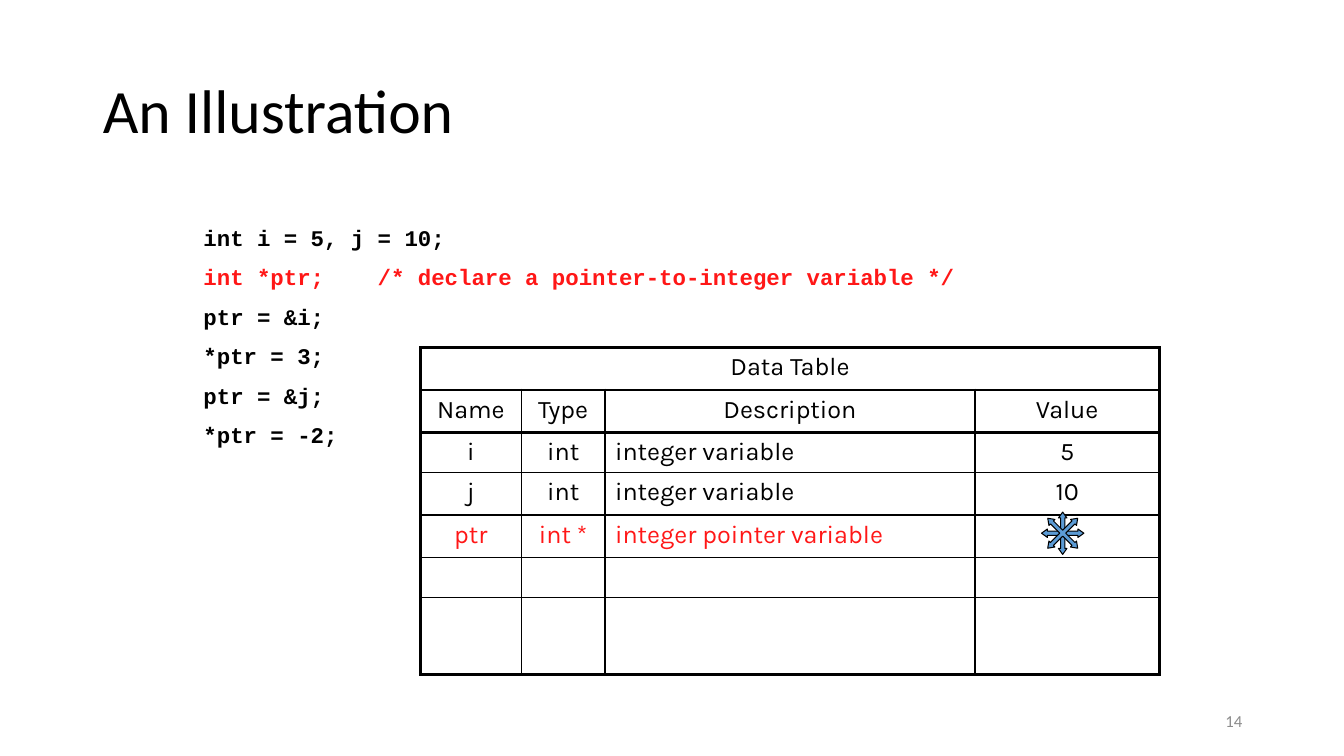
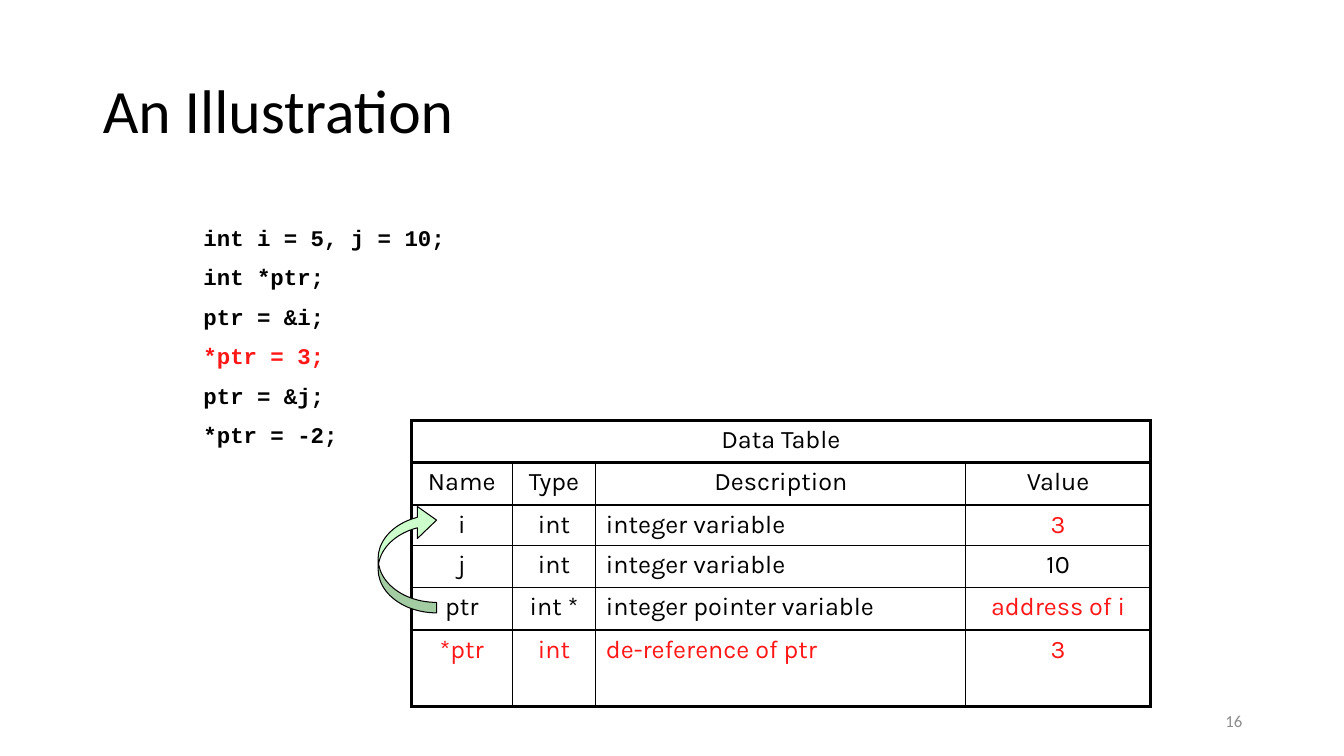
from dataclasses import dataclass
from typing import Any

from lxml.etree import SubElement
from pptx import Presentation
from pptx.dml.color import RGBColor
from pptx.enum.shapes import MSO_SHAPE as Preset
from pptx.enum.text import MSO_ANCHOR as Anchor, MSO_AUTO_SIZE as AutoSize, PP_ALIGN as Align
from pptx.oxml.ns import qn
from pptx.util import Inches, Pt

BLACK, RED, GRAY = "000000", "FF1717", "8C8C8C"
BLUE, GREEN = "5B9BD5", "CCFFCC"
THIN, THICK = 1, 2.25

TITLE_FONT = {"name": "Calibri", "size": Pt(44), "bold": False}
NUMBER_FONT = {"name": "Calibri", "size": Pt(12)}
CODE_FONT = {"name": "Courier New", "size": Pt(16), "bold": True}
TABLE_FONT = {"name": "Karla", "size": Pt(18), "bold": False}

COLUMN_WIDTHS = (1, 0.83, 3.67, 1.83)
DESCRIPTION_COLUMN = 2
ALL_COLUMNS = (0, 1, 2, 3)


@dataclass(frozen=True)
class Row:
    """One table row: its texts, height and the columns shown in red."""
    texts: tuple[str, ...] = ("", "", "", "")
    height: float = 0.42
    red_columns: tuple[int, ...] = ()


@dataclass(frozen=True)
class Step:
    """One slide of the walk-through."""
    number: str
    code: tuple[str, ...]
    red_line: int
    table_left: float
    table_top: float
    rows: tuple[Row, ...]


HEADER_ROWS = (
    Row(("Data Table", "", "", "")),
    Row(("Name", "Type", "Description", "Value")),
)
J_ROW = Row(("j", "int", "integer variable", "10"))
ASSIGNMENTS = ("ptr = &i;", "*ptr = 3;", "ptr = &j;", "*ptr = -2;")

DECLARE_STEP = Step(
    "14",
    ("int i = 5, j = 10;", "int *ptr;    /* declare a pointer-to-integer variable */", *ASSIGNMENTS),
    1, 4.17, 3.45,
    (
        *HEADER_ROWS,
        Row(("i", "int", "integer variable", "5"), 0.4),
        J_ROW,
        Row(("ptr", "int *", "integer pointer variable", ""), red_columns=ALL_COLUMNS),
        Row(height=0.4),
        Row(height=0.76),
    ),
)
DEREFERENCE_STEP = Step(
    "16",
    ("int i = 5, j = 10;", "int *ptr;", *ASSIGNMENTS),
    3, 4.08, 4.17,
    (
        *HEADER_ROWS,
        Row(("i", "int", "integer variable", "3"), 0.4, (3,)),
        J_ROW,
        Row(("ptr", "int *", "integer pointer variable", "address of i"), red_columns=(3,)),
        Row(("*ptr", "int", "de-reference of ptr", "3"), 0.76, ALL_COLUMNS),
    ),
)


def rgb(color: str) -> RGBColor:
    """Turn a hex string into a colour."""
    return RGBColor.from_string(color)


def apply(target: Any, values: dict[str, Any]) -> None:
    """Set every attribute named in the format values."""
    for name, value in values.items():
        setattr(target, name, value)


def write(paragraph: Any, text: str, font: dict[str, Any], color: str = BLACK) -> None:
    """Add one formatted run to a paragraph."""
    run = paragraph.add_run()
    run.text = text
    apply(run.font, font)
    run.font.color.rgb = rgb(color)


def add_text_box(slide: Any, left: float, top: float, width: float, height: float) -> Any:
    """Add a wrapping text box and return its text frame."""
    box = slide.shapes.add_textbox(Inches(left), Inches(top), Inches(width), Inches(height))
    box.text_frame.word_wrap = True
    return box.text_frame


def add_title(slide: Any, text: str) -> None:
    """Place and fill the title placeholder."""
    title = slide.shapes.title
    apply(title, {"left": Inches(0.92), "top": Inches(0.4), "width": Inches(11.5), "height": Inches(1.45)})
    apply(title.text_frame, {"vertical_anchor": Anchor.MIDDLE, "auto_size": AutoSize.NONE})
    paragraph = title.text_frame.paragraphs[0]
    apply(paragraph, {"alignment": Align.LEFT, "line_spacing": 0.9})
    write(paragraph, text, TITLE_FONT)


def add_number(slide: Any, number: str) -> None:
    """Write the slide number at the lower right."""
    frame = add_text_box(slide, 9.42, 6.95, 3, 0.4)
    frame.vertical_anchor = Anchor.MIDDLE
    frame.paragraphs[0].alignment = Align.RIGHT
    write(frame.paragraphs[0], number, NUMBER_FONT, GRAY)


def add_code(slide: Any, lines: tuple[str, ...], red_line: int) -> None:
    """Write the program with its current line in red."""
    frame = add_text_box(slide, 1.92, 2.17, 9.33, 2.39)
    for index, line in enumerate(lines):
        paragraph = frame.add_paragraph() if index else frame.paragraphs[0]
        paragraph.space_before = Pt(9 if index else 0)
        write(paragraph, line, CODE_FONT, RED if index == red_line else BLACK)


def set_borders(cell: Any, widths: dict[str, float]) -> None:
    """Draw black cell borders with the given widths per side."""
    properties = cell._tc.get_or_add_tcPr()
    for side, width in widths.items():
        line = SubElement(properties, qn(f"a:ln{side}"), w=str(Pt(width)))
        fill = SubElement(line, qn("a:solidFill"))
        SubElement(fill, qn("a:srgbClr"), val=BLACK)


def add_data_table(slide: Any, left: float, top: float, rows: tuple[Row, ...]) -> None:
    """Draw the table of variables with a thick frame and header rules."""
    table = slide.shapes.add_table(
        len(rows), len(COLUMN_WIDTHS), Inches(left), Inches(top),
        Inches(sum(COLUMN_WIDTHS)), Inches(sum(row.height for row in rows)),
    ).table
    apply(table, {"first_row": False, "horz_banding": False})
    for column, width in zip(table.columns, COLUMN_WIDTHS):
        column.width = Inches(width)
    header_count, last_row, last_column = len(HEADER_ROWS), len(rows) - 1, len(COLUMN_WIDTHS) - 1
    for row_index, row in enumerate(rows):
        table.rows[row_index].height = Inches(row.height)
        for column_index, text in enumerate(row.texts):
            cell = table.cell(row_index, column_index)
            thick_sides = {
                "L": row_index == 0 or column_index == 0,
                "R": row_index == 0 or column_index == last_column,
                "T": row_index <= header_count,
                "B": row_index < header_count or row_index == last_row,
            }
            set_borders(cell, {side: THICK if thick else THIN for side, thick in thick_sides.items()})
            cell.fill.background()
            if text:
                paragraph = cell.text_frame.paragraphs[0]
                is_description = column_index == DESCRIPTION_COLUMN and row_index >= header_count
                paragraph.alignment = Align.LEFT if is_description else Align.CENTER
                write(paragraph, text, TABLE_FONT, RED if column_index in row.red_columns else BLACK)
    table.cell(0, 0).merge(table.cell(0, last_column))


def add_arrow(shapes: Any, preset: Preset, box: tuple[float, ...], rotation: float,
              adjustments: tuple[float, ...], color: str) -> None:
    """Add an outlined block arrow."""
    arrow = shapes.add_shape(preset, *map(Inches, box))
    arrow.rotation = rotation
    for index, value in enumerate(adjustments):
        arrow.adjustments[index] = value
    arrow.shadow.inherit = False
    arrow.fill.solid()
    arrow.fill.fore_color.rgb = rgb(color)
    arrow.line.color.rgb = rgb(BLACK)
    arrow.line.width = Pt(0.75)


def add_step(presentation: Any, step: Step) -> Any:
    """Add a slide with title, number, code and table."""
    slide = presentation.slides.add_slide(presentation.slide_layouts.get_by_name("Title Only"))
    add_title(slide, "An Illustration")
    add_number(slide, step.number)
    add_code(slide, step.code, step.red_line)
    add_data_table(slide, step.table_left, step.table_top, step.rows)
    return slide


def main() -> None:
    """Build and save the presentation."""
    presentation = Presentation()
    apply(presentation, {"slide_width": Inches(13.33), "slide_height": Inches(7.5)})

    slide = add_step(presentation, DECLARE_STEP)
    star = slide.shapes.add_group_shape()
    for rotation in (0, 45):
        add_arrow(star.shapes, Preset.QUAD_ARROW, (10.33, 5.08, 0.42, 0.42), rotation, (0.1, 0.1, 0.14), BLUE)

    slide = add_step(presentation, DEREFERENCE_STEP)
    add_arrow(slide.shapes, Preset.CURVED_LEFT_ARROW, (3.75, 5, 0.58, 1.08), 180, (0.18, 0.55, 0.33), GREEN)

    presentation.save("out.pptx")


if __name__ == "__main__":
    main()
